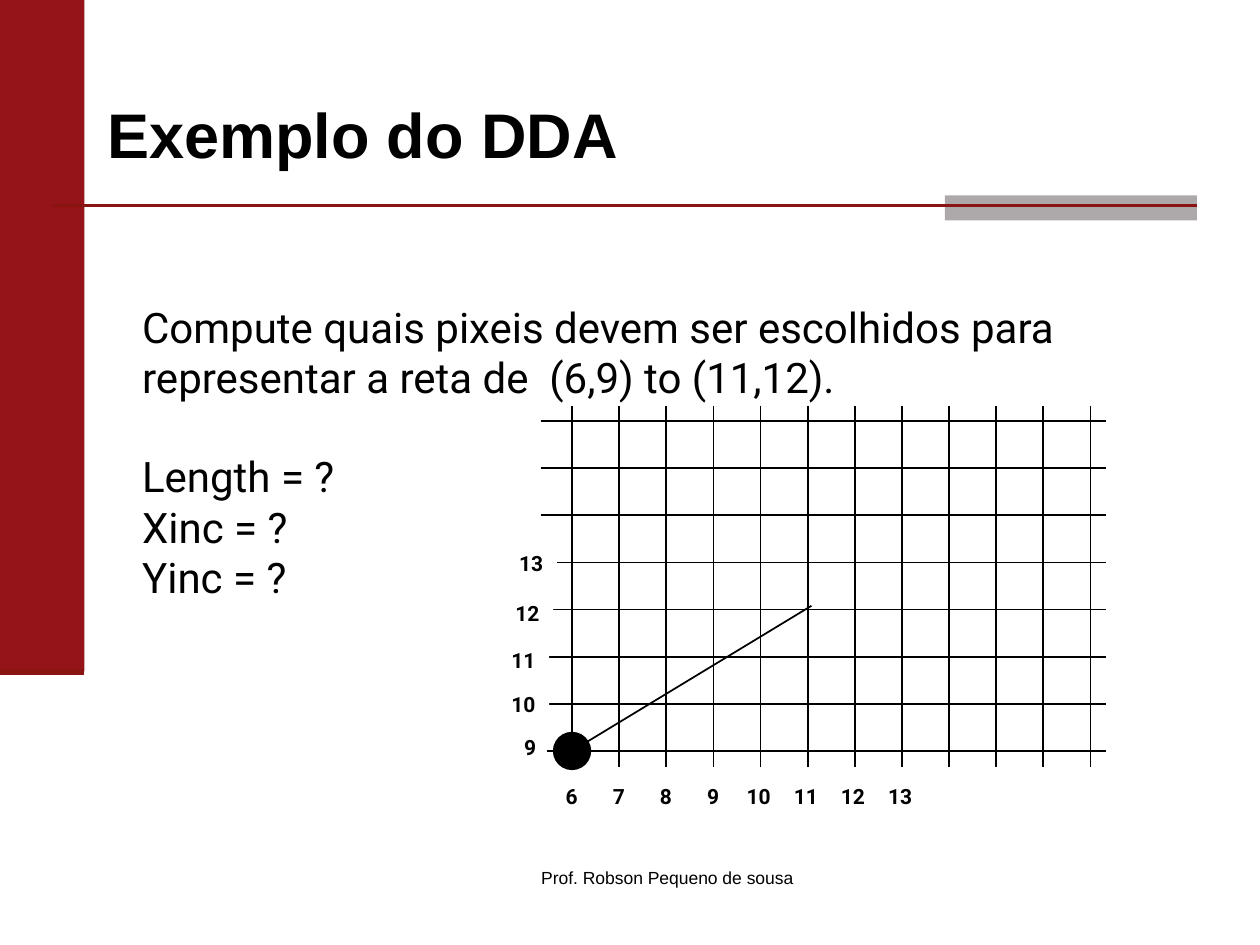
from dataclasses import dataclass

from lxml import etree
from pptx import Presentation
from pptx.dml.color import RGBColor
from pptx.enum.shapes import MSO_CONNECTOR, MSO_SHAPE
from pptx.enum.text import MSO_ANCHOR, MSO_AUTO_SIZE, PP_ALIGN
from pptx.oxml.ns import qn
from pptx.util import Inches, Pt

RECT, OVAL = MSO_SHAPE.RECTANGLE, MSO_SHAPE.OVAL
STRAIGHT = MSO_CONNECTOR.STRAIGHT
TOP, MIDDLE = MSO_ANCHOR.TOP, MSO_ANCHOR.MIDDLE
LEFT, CENTER, JUSTIFY = PP_ALIGN.LEFT, PP_ALIGN.CENTER, PP_ALIGN.JUSTIFY
NO_FIT = MSO_AUTO_SIZE.NONE


@dataclass(frozen=True)
class Theme:
    ink: str = "000000"
    paper: str = "FFFFFF"
    band: str = "94141A"
    rule: str = "891411"
    tab: str = "ADA9AB"
    head: str = "Arial"
    text: str = "Roboto"
    title: int = 36
    body: int = 24
    label: int = 12
    foot: int = 10


THEME = Theme()


def add_line(slide, start, end, color=THEME.ink, width=1):
    line = slide.shapes.add_connector(
        STRAIGHT, *(Inches(v) for v in (*start, *end)))
    line.line.color.rgb = RGBColor.from_string(color)
    line.line.width = Pt(width)
    etree.SubElement(line._element.spPr, qn("a:effectLst"))


def add_block(slide, kind, box, color):
    block = slide.shapes.add_shape(kind, *(Inches(v) for v in box))
    block.shadow.inherit = False
    block.fill.solid()
    block.fill.fore_color.rgb = RGBColor.from_string(color)
    block.line.fill.background()
    return block


def set_text(shape, lines, font, size, bold=False, align=LEFT,
             anchor=TOP, inset=(0.1, 0.05, 0.1, 0.05)):
    frame = shape.text_frame
    frame.text = "\n".join(lines)
    frame.word_wrap = True
    frame.auto_size = NO_FIT
    frame.vertical_anchor = anchor
    (frame.margin_left, frame.margin_top,
     frame.margin_right, frame.margin_bottom) = (Inches(v) for v in inset)
    for para in frame.paragraphs:
        para.alignment = align
        for run in para.runs:
            run.font.name = font
            run.font.size = Pt(size)
            run.font.bold = bold
            run.font.color.rgb = RGBColor.from_string(THEME.ink)


def add_frame(slide, box):
    """Side band, header rule and grey tab."""
    left, top, width, height = box
    band, low = 0.67, top + 5.33
    rule, right = top + 1.63, left + width - 0.5
    add_block(slide, RECT, (left, top, band, low - top), THEME.band)
    add_block(slide, RECT, (right - 2, rule - 0.08, 2, 0.2), THEME.tab)
    add_line(slide, (left + 0.42, rule), (right, rule), THEME.rule, 1.5)
    add_line(slide, (left, low), (left + band, low), THEME.rule, 3.5)


def add_title(slide, box, text):
    title = slide.shapes.title
    title.left, title.top, title.width, title.height = (
        Inches(v) for v in box)
    set_text(title, [text], THEME.head, THEME.title, True, JUSTIFY, MIDDLE)


def add_body(slide, box, lines):
    body = slide.shapes.add_textbox(*(Inches(v) for v in box))
    set_text(body, lines, THEME.text, THEME.body)
    # One open line between the task and the unknowns
    body.text_frame.paragraphs[1].space_before = Pt(28)


def add_foot(slide, box, text):
    foot = slide.shapes.add_textbox(*(Inches(v) for v in box))
    set_text(foot, [text], THEME.head, THEME.foot, align=CENTER)


def add_label(slide, left, top, text):
    """Number on a white patch that hides the line ends."""
    width = 0.24 if len(text) == 1 else 0.36
    patch = add_block(slide, RECT, (left, top, width, 0.22), THEME.paper)
    set_text(patch, [text], THEME.text, THEME.label, True,
             inset=(0.06, 0.01, 0, 0))


def add_grid(slide, box):
    """Pixel grid with axis numbers and the line to be drawn."""
    left, top, width, height = box
    right, low = left + width, top + height
    cols, rows, step = 12, 8, 0.374
    first, base = left + 0.25, low - 0.13

    # Grid lines
    for row in range(rows):
        y = base - row * step
        add_line(slide, (left, y), (right, y))
    for col in range(cols):
        x = first + col * step
        add_line(slide, (x, top), (x, low))

    # Numbers under the columns
    for col, num in enumerate(range(6, 14)):
        shift = 0.11 if num < 10 else 0.17
        add_label(slide, first + col * step - shift, low + 0.12, str(num))

    # Numbers beside the rows, set by hand: offset from the grid corner
    marks = {9: (-0.19, -0.27), 10: (-0.29, -0.61), 11: (-0.29, -0.96),
             12: (-0.26, -1.33), 13: (-0.23, -1.73)}
    for num, (dx, dy) in marks.items():
        add_label(slide, left + dx, low + dy, str(num))

    # Start pixel and line from (6,9) to (11,12)
    size = 0.29
    dot = add_block(slide, OVAL, (first - size / 2, base - size / 2,
                                  size, size), THEME.ink)
    dot.line.color.rgb = RGBColor.from_string(THEME.ink)
    dot.line.width = Pt(1)
    add_line(slide, (first, base),
             (first + 5 * step + 0.03, base - 3 * step - 0.03))


def main():
    deck = Presentation()
    deck.slide_width, deck.slide_height = Inches(10), Inches(7.5)
    slide = deck.slides.add_slide(deck.slide_layouts[5])
    add_frame(slide, (0, 0, 10, 7.5))
    add_title(slide, (0.75, 0.58, 8.75, 0.95), "Exemplo do DDA")
    add_foot(slide, (3.67, 6.83, 3.25, 0.5), "Prof. Robson Pequeno de sousa")
    add_body(slide, (1.03, 2.34, 8, 4.75), [
        "Compute quais pixeis devem ser escolhidos para "
        "representar a reta de  (6,9) to (11,12).",
        "Length = ?", "Xinc = ?", "Yinc = ?"])
    add_grid(slide, (4.29, 3.22, 4.49, 2.87))
    deck.save("out.pptx")


if __name__ == "__main__":
    main()
